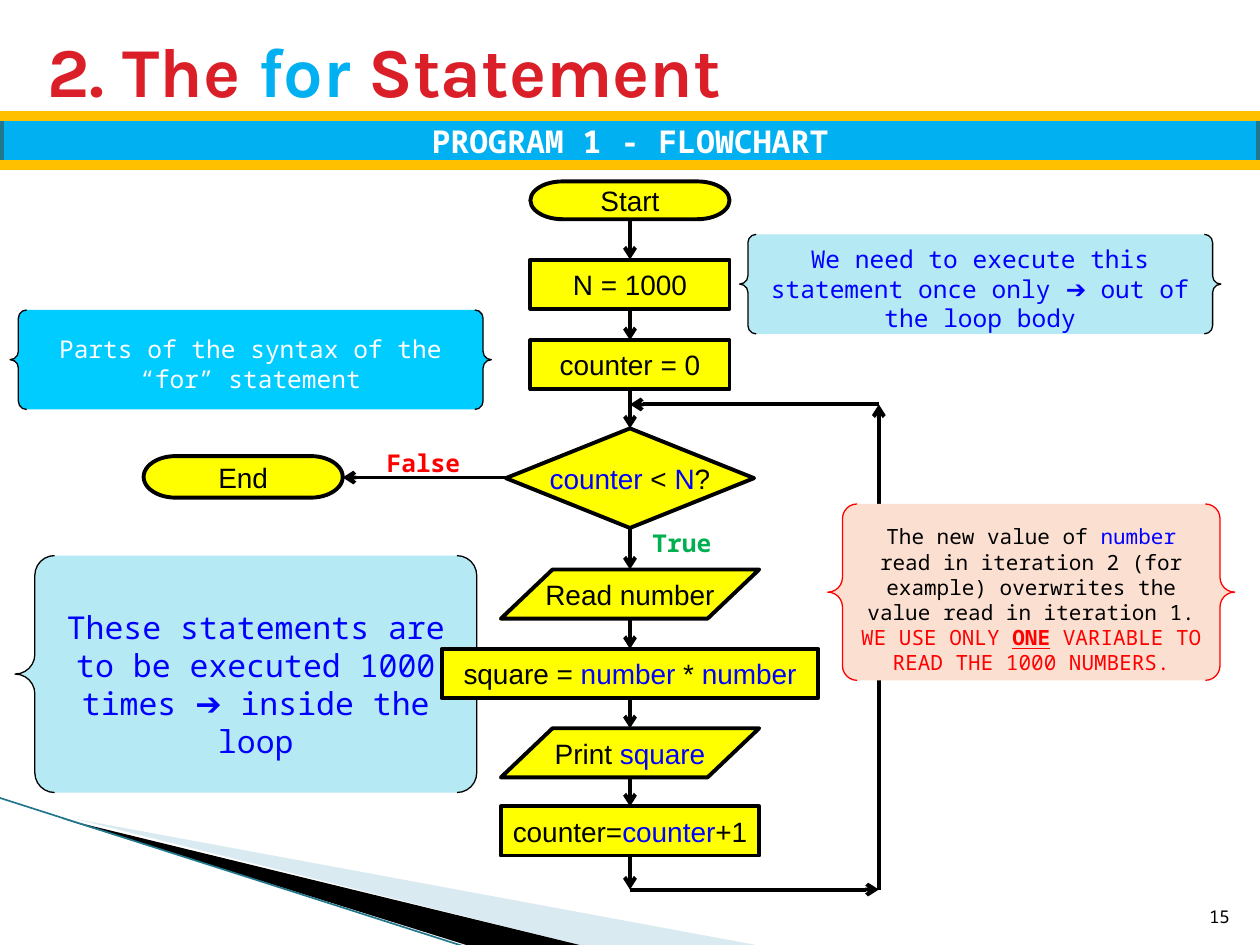
"""Build a flowchart slide for a counting loop, laid out in tenths of an inch."""
from dataclasses import dataclass
from typing import NamedTuple

from lxml.etree import SubElement
from pptx import Presentation
from pptx.dml.color import RGBColor as Rgb
from pptx.enum.shapes import MSO_CONNECTOR as Link, MSO_SHAPE as Kind
from pptx.enum.text import MSO_ANCHOR as Anchor, PP_ALIGN as Align
from pptx.oxml.ns import qn
from pptx.util import Emu, Inches, Pt


@dataclass(frozen=True)
class Theme:
    black: str = "000000"
    white: str = "FFFFFF"
    blue: str = "0000FF"
    red: str = "FF0000"
    green: str = "00B050"
    crimson: str = "DA1F28"
    sky: str = "00B0F0"
    cyan: str = "00CCFF"
    aqua: str = "B5E9F4"
    peach: str = "FBE0D1"
    yellow: str = "FFFF00"
    gold: str = "FFC000"
    teal: str = "21788D"
    mist: str = "A0CBDC"
    edge: str = "97C5D8"
    mono: str = "Noto Sans Mono"
    sans: str = "Arial"
    head: str = "Karla"
    title: int = 40
    large: int = 18
    node: int = 16
    note: int = 14
    small: int = 12
    page: int = 10


T = Theme()
CELL = Inches(0.1)
MID = 50


class Box(NamedTuple):
    left: float
    top: float
    width: float
    height: float


class Bit(NamedTuple):
    text: str
    ink: str = T.black
    bold: bool = False
    under: bool = False


class Type(NamedTuple):
    size: int
    font: str = T.mono
    align: Align = Align.CENTER
    anchor: Anchor = Anchor.MIDDLE
    wrap: bool = True


class Node(NamedTuple):
    kind: Kind
    box: Box
    bits: list[Bit]


class Note(NamedTuple):
    box: Box
    fill: str
    line: str
    size: int
    bits: list[Bit]


class Wire(NamedTuple):
    start: tuple[float, float]
    end: tuple[float, float]
    ink: str = T.black
    width: float = 2.25
    arrow: bool = True


def cells(*units: float) -> list[Emu]:
    return [Emu(round(unit * CELL)) for unit in units]


def write(shape, bits: list[Bit], style: Type) -> None:
    frame = shape.text_frame
    frame.word_wrap = style.wrap
    frame.vertical_anchor = style.anchor
    para = frame.paragraphs[0]
    para.text = bits[0].text
    para.alignment = style.align
    for bit in bits[1:]:
        para.add_run().text = bit.text
    for run, bit in zip(para.runs, bits):
        font = run.font
        font.name, font.size = style.font, Pt(style.size)
        font.bold, font.underline = bit.bold, bit.under
        font.color.rgb = Rgb.from_string(bit.ink)


def paint(shape, fill: str, line: str = "", width: float = 0) -> None:
    shape.shadow.inherit = False
    shape.fill.solid()
    shape.fill.fore_color.rgb = Rgb.from_string(fill)
    if line:
        shape.line.color.rgb = Rgb.from_string(line)
        shape.line.width = Pt(width)
    else:
        shape.line.fill.background()


def draw_shape(slide, kind: Kind, box: Box, fill: str, line: str, width: float,
               bits: list[Bit], style: Type) -> None:
    shape = slide.shapes.add_shape(kind, *cells(*box))
    paint(shape, fill, line, width)
    write(shape, bits, style)


def draw_text(slide, box: Box, bits: list[Bit], style: Type) -> None:
    write(slide.shapes.add_textbox(*cells(*box)), bits, style)


def draw_node(slide, node: Node) -> None:
    draw_shape(slide, node.kind, node.box, T.yellow, T.black, 2.25, node.bits,
               Type(T.node, T.sans, wrap=False))


def draw_note(slide, note: Note) -> None:
    draw_shape(slide, Kind.DOUBLE_BRACE, note.box, note.fill, note.line, 0.75,
               note.bits, Type(note.size))


def draw_wire(slide, wire: Wire) -> None:
    ends = cells(*wire.start, *wire.end)
    link = slide.shapes.add_connector(Link.STRAIGHT, *ends)
    link.line.color.rgb = Rgb.from_string(wire.ink)
    link.line.width = Pt(wire.width)
    if wire.arrow:
        SubElement(link.line._get_or_add_ln(), qn("a:tailEnd"), type="arrow")
    SubElement(link._element.spPr, qn("a:effectLst"))


def draw_wedge(slide, points: list[tuple[float, float]], fill: str, alpha: int) -> None:
    build = slide.shapes.build_freeform(*points[0], scale=CELL)
    build.add_line_segments(points[1:], close=True)
    shape = build.convert_to_shape()
    paint(shape, fill)
    tint = shape._element.spPr.find(qn("a:solidFill"))[0]
    SubElement(tint, qn("a:alpha"), val=str(alpha * 1000))


def step(kind: Kind, top: float, width: float, high: float, *bits: Bit) -> Node:
    return Node(kind, Box(MID - width / 2, top, width, high), list(bits))


SLIM, WIDE, HIGH = 15.8, 20.5, 3.9
STEPS = [
    step(Kind.FLOWCHART_TERMINATOR, 14.4, SLIM, 3, Bit("Start")),
    step(Kind.RECTANGLE, 20.6, SLIM, HIGH, Bit("N = 1000")),
    step(Kind.RECTANGLE, 27, SLIM, HIGH, Bit("counter = 0")),
    step(Kind.FLOWCHART_DECISION, 34, 19.7, 7.9, Bit("counter ", T.blue),
         Bit("< "), Bit("N", T.blue), Bit("?")),
    step(Kind.FLOWCHART_DATA, 45.2, WIDE, HIGH, Bit("Read number")),
    step(Kind.RECTANGLE, 51.5, 29.9, HIGH, Bit("square = "),
         Bit("number", T.blue), Bit(" * "), Bit("number", T.blue)),
    step(Kind.FLOWCHART_DATA, 57.8, WIDE, HIGH, Bit("Print "), Bit("square", T.blue)),
    step(Kind.RECTANGLE, 64, WIDE, HIGH, Bit("counter="),
         Bit("counter", T.blue), Bit("+1")),
]
STOP = Node(Kind.FLOWCHART_TERMINATOR, Box(11.4, 36.2, SLIM, 3.3), [Bit("End")])
FOOT, BACK, SIDE = 70.6, 32.1, 69.75
DROPS = [*(node.box.top for node in STEPS[1:]), FOOT]
WIRES = [Wire((MID, node.box.top + node.box.height), (MID, drop))
         for node, drop in zip(STEPS, DROPS)]
WIRES += [
    Wire((MID, FOOT), (SIDE, FOOT)),
    Wire((SIDE, FOOT), (SIDE, BACK)),
    Wire((SIDE, BACK), (MID, BACK)),
    Wire((40.2, 37.9), (27.2, 37.9)),
]
INNER = Note(Box(1.2, 44.1, 38.2, 18.8), T.aqua, T.black, T.large, [
    Bit("These statements are to be executed 1000 times ➔ inside the loop", T.blue)])
NOTES = [
    Note(Box(58.7, 18.6, 38.2, 7.9), T.aqua, T.black, T.note, [
        Bit("We need to execute this statement once only ➔ out of the loop body", T.blue)]),
    Note(Box(65.7, 40, 32.3, 14), T.peach, T.red, T.small, [
        Bit("The new value of "), Bit("number ", T.blue),
        Bit("read in iteration 2 (for example) overwrites the value read in iteration 1. "),
        Bit("WE USE ONLY ", T.red), Bit("ONE", T.red, True, True),
        Bit(" VARIABLE TO READ THE 1000 NUMBERS.", T.red)]),
    Note(Box(0.8, 24.6, 38.2, 7.9), T.cyan, T.black, T.note, [
        Bit("Parts of the syntax of the “for” statement", T.white)]),
]
TAGS = [(Box(50.8, 41.4, 7.9, 3.4), Bit("True", T.green, True)),
        (Box(29.7, 35.1, 7.9, 3.4), Bit("False", T.red, True))]


def main() -> None:
    deck = Presentation()
    deck.slide_width, deck.slide_height = cells(100, 75)
    slide = deck.slides.add_slide(deck.slide_layouts[6])
    draw_wedge(slide, [(5.5, 65.1), (59.5, 75.1), (45.6, 75.1), (5.5, 65)], T.mist, 40)
    draw_wedge(slide, [(5.3, 64.9), (45.7, 75.1), (37.2, 75.2), (5.4, 65)], T.black, 100)
    draw_wire(slide, Wire((-0.1, 63.3), (37.1, 75.2), T.teal, 0.95, False))
    draw_note(slide, INNER)
    draw_shape(slide, Kind.RECTANGLE, Box(0, 9.2, 100, 3.9), T.sky, T.teal, 4.33,
               [Bit("PROGRAM 1 - FLOWCHART", T.white, True)], Type(T.large))
    for row in (9.2, 13.1):
        draw_wire(slide, Wire((0, row), (100, row), T.gold, 6, False))
    draw_text(slide, Box(2.8, 1.3, 89.2, 8.5),
              [Bit("2. The ", T.crimson, True), Bit("for ", T.sky, True),
               Bit("Statement", T.crimson, True)], Type(T.title, T.head, Align.LEFT))
    draw_text(slide, Box(94.6, 70.1, 4, 4), [Bit("15")],
              Type(T.page, align=Align.RIGHT, anchor=Anchor.BOTTOM))
    for node in [*STEPS, STOP]:
        draw_node(slide, node)
    for wire in WIRES:
        draw_wire(slide, wire)
    for box, bit in TAGS:
        draw_text(slide, box, [bit], Type(T.note, align=Align.LEFT, anchor=Anchor.TOP))
    for note in NOTES:
        draw_note(slide, note)
    deck.save("out.pptx")


if __name__ == "__main__":
    main()
